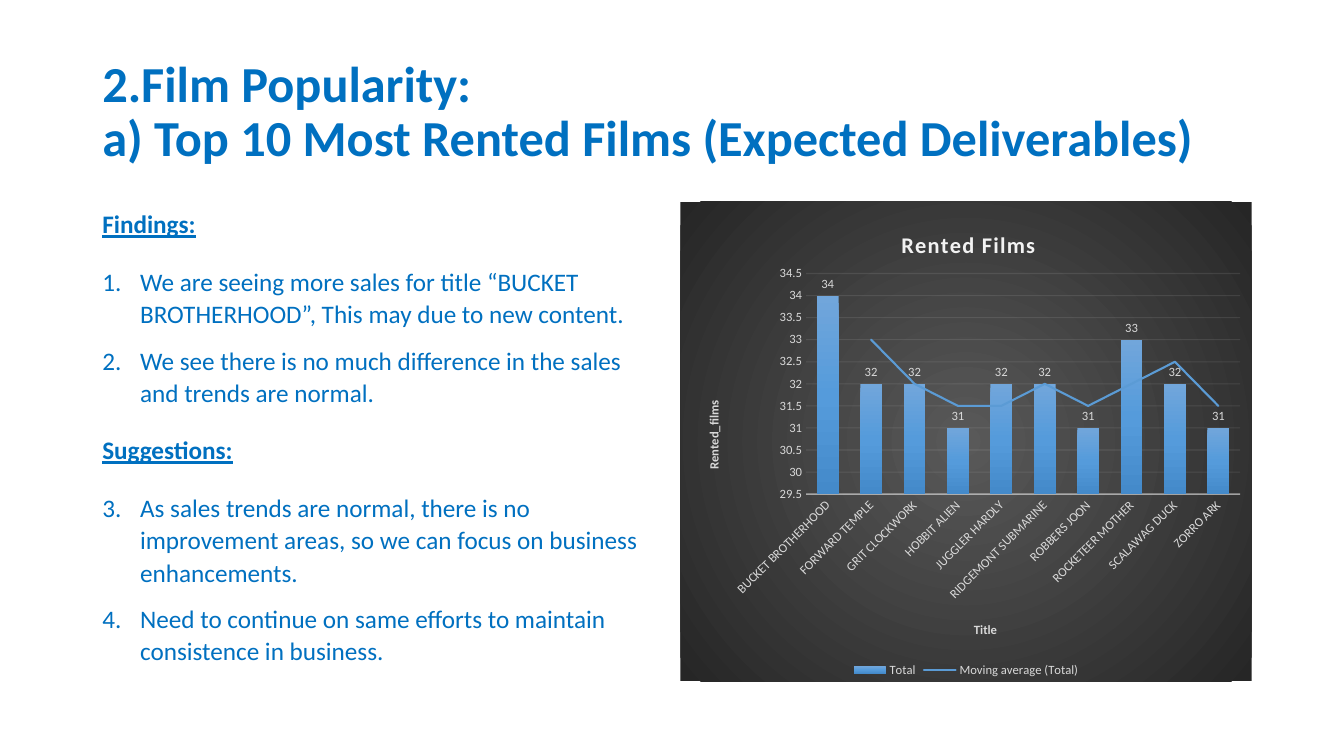
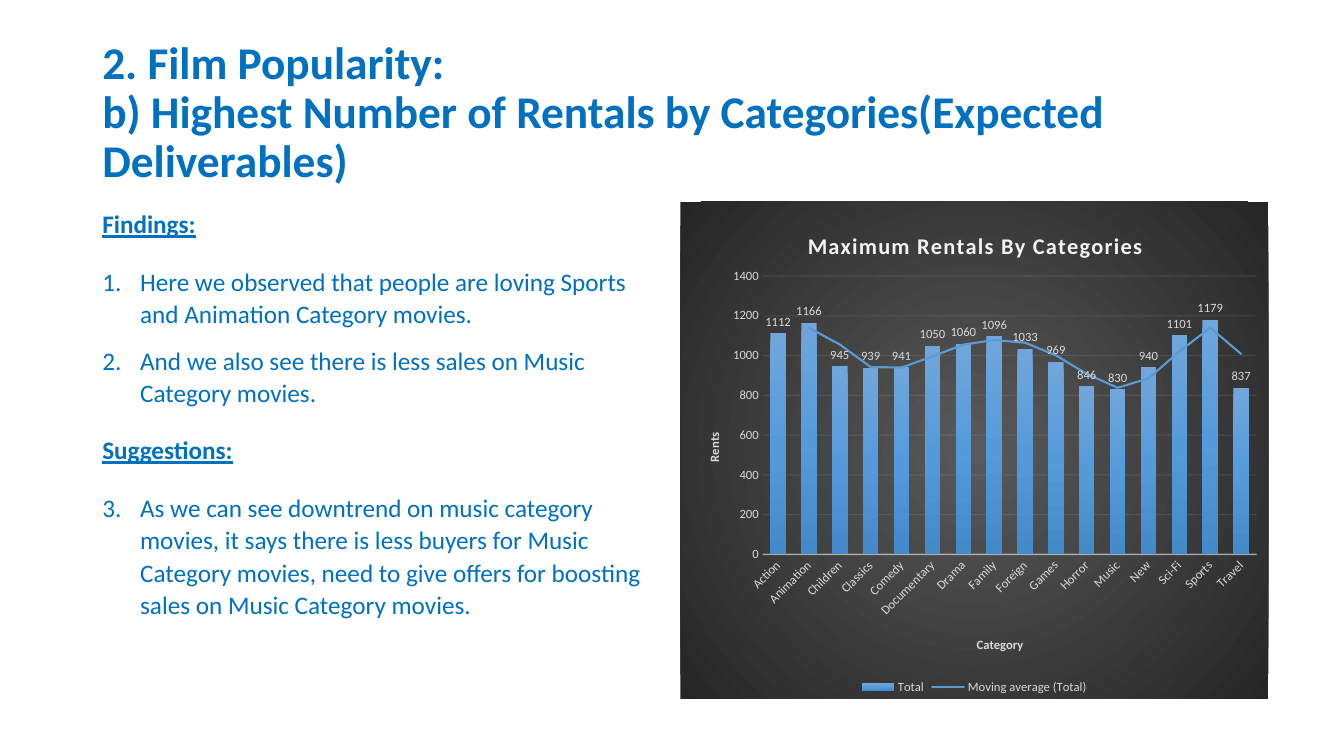
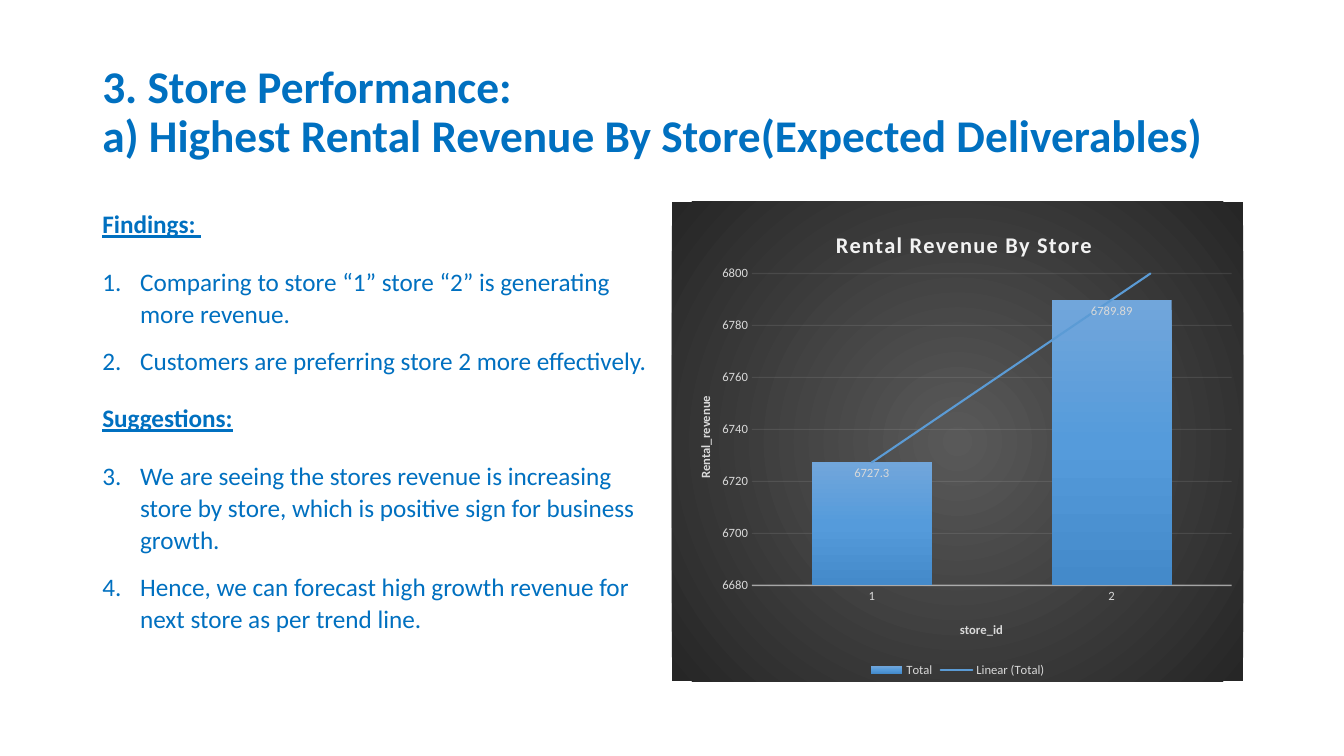
from lxml import etree
from pptx import Presentation
from pptx.chart.data import CategoryChartData
from pptx.dml.color import RGBColor
from pptx.enum.chart import XL_CHART_TYPE, XL_LABEL_POSITION, XL_LEGEND_POSITION, XL_TICK_MARK
from pptx.enum.text import MSO_ANCHOR
from pptx.oxml import parse_xml
from pptx.oxml.ns import nsdecls, qn
from pptx.util import Pt

COLUMNS = XL_CHART_TYPE.COLUMN_CLUSTERED
OUTSIDE, INSIDE = XL_LABEL_POSITION.OUTSIDE_END, XL_LABEL_POSITION.INSIDE_END
BOTTOM = XL_LEGEND_POSITION.BOTTOM
NO_TICK = XL_TICK_MARK.NONE
MIDDLE = MSO_ANCHOR.MIDDLE

FONT = "Calibri"
BLUE, TREND = "0070C0", "5B9BD5"
PALE, WHITE = "D9D9D9", "F2F2F2"
BAR_STOPS = [(0, "71A6DB"), (50, "559BDB"), (100, "448ACA")]
PANEL_STOPS = [(0, "595959"), (100, "262626")]
LINEAR = '<a:lin ang="5400000" scaled="0"/>'
RADIAL = '<a:path path="circle"><a:fillToRect l="50000" t="50000" r="50000" b="50000"/></a:path>'

TITLE_BOX = (66, 28.8, 828, 104.4)
BODY_BOX = (66, 144, 408, 342.7)
INDENT = 27

# "plot" is left, top, width, height and each "spot" is left, top, as shares of the chart
SLIDES = [
    {
        "title": "2.Film Popularity:\na) Top 10 Most Rented Films (Expected Deliverables)",
        "size": 36,
        "sections": [
            ("Findings:", [
                "We are seeing more sales for title “BUCKET BROTHERHOOD”, This may due to new content.",
                "We see there is no much difference in the sales and trends are normal."]),
            ("Suggestions:", [
                "As sales trends are normal, there is no improvement areas, so we can focus on "
                "business enhancements.",
                "Need to continue on same efforts to maintain consistence in business."]),
        ],
        "chart": {
            "box": (486, 144, 408, 342.7), "plot": (0.22, 0.15, 0.76, 0.46),
            "title": "Rented Films", "title_spot": (0.38, 0.05),
            "x": "Title", "x_spot": (0.51, 0.87), "y": "Rented_films", "y_spot": (0.04, 0.41),
            "scale": (29.5, 34.5, 0.5), "tilt": -45, "trend": "movingAvg", "labels": OUTSIDE,
            "data": {"BUCKET BROTHERHOOD": 34, "FORWARD TEMPLE": 32, "GRIT CLOCKWORK": 32,
                     "HOBBIT ALIEN": 31, "JUGGLER HARDLY": 32, "RIDGEMONT SUBMARINE": 32,
                     "ROBBERS JOON": 31, "ROCKETEER MOTHER": 33, "SCALAWAG DUCK": 32,
                     "ZORRO ARK": 31},
        },
    },
    {
        "title": "2. Film Popularity:\nb) Highest Number of Rentals by Categories(Expected Deliverables)",
        "size": 32.4,
        "sections": [
            ("Findings:", [
                "Here we observed that people are loving Sports and Animation Category movies.",
                "And we also see there is less sales on Music Category movies."]),
            ("Suggestions:", [
                "As we can see downtrend on music category movies, it says there is less buyers for "
                "Music Category movies, need to give offers for boosting sales on Music Category movies."]),
        ],
        "chart": {
            "box": (486, 144, 420, 355), "plot": (0.14, 0.15, 0.84, 0.56),
            "title": "Maximum Rentals By Categories", "title_spot": (0.21, 0.05),
            "x": "Category", "x_spot": (0.5, 0.87), "y": "Rents", "y_spot": (0.04, 0.46),
            "scale": (0, 1400, 200), "tilt": -45, "trend": "movingAvg", "labels": OUTSIDE,
            "data": {"Action": 1112, "Animation": 1166, "Children": 945, "Classics": 939,
                     "Comedy": 941, "Documentary": 1050, "Drama": 1060, "Family": 1096,
                     "Foreign": 1033, "Games": 969, "Horror": 846, "Music": 830, "New": 940,
                     "Sci-Fi": 1101, "Sports": 1179, "Travel": 837},
        },
    },
    {
        "title": "3. Store Performance:\na) Highest Rental Revenue By Store(Expected Deliverables)",
        "size": 32.4,
        "sections": [
            ("Findings: ", [
                "Comparing to store “1” store “2” is generating more revenue.",
                "Customers are preferring store 2 more effectively."]),
            ("Suggestions:", [
                "We are seeing the stores revenue is increasing store by store, which is positive "
                "sign for business growth.",
                "Hence, we can forecast high growth revenue for next store as per trend line."]),
        ],
        "chart": {
            "box": (480, 144, 408, 342.7), "plot": (0.14, 0.15, 0.84, 0.65),
            "title": "Rental Revenue By Store", "title_spot": (0.28, 0.05),
            "x": "store_id", "x_spot": (0.5, 0.87), "y": "Rental_revenue", "y_spot": (0.04, 0.4),
            "scale": (6680, 6800, 20), "tilt": 0, "trend": "linear", "labels": INSIDE,
            "data": {"1": 6727.3, "2": 6789.89},
        },
    },
]


def rgb(color):
    return RGBColor.from_string(color)


def set_font(font, size, color, bold=False, underline=False):
    font.name, font.size, font.bold, font.underline = FONT, Pt(size), bold, underline
    font.color.rgb = rgb(color)


def write(p, text, spacing=None, before=0, after=0, tracking=0, **font):
    """Fill a paragraph; a newline in the text becomes a line break."""
    p.text = text
    if spacing:
        p.line_spacing, p.space_before, p.space_after = spacing, Pt(before), Pt(after)
    for r in p.runs:
        set_font(r.font, **font)
        if tracking:
            r._r.get_or_add_rPr().set("spc", str(tracking))


def number(p, start):
    pPr = p._p.get_or_add_pPr()
    pPr.set("marL", str(Pt(INDENT)))
    pPr.set("indent", str(-Pt(INDENT)))
    etree.SubElement(pPr, qn("a:buFont")).set("typeface", "+mj-lt")
    bullet = etree.SubElement(pPr, qn("a:buAutoNum"))
    bullet.set("type", "arabicPeriod")
    bullet.set("startAt", str(start))


def add_box(s, box):
    tf = s.shapes.add_textbox(*map(Pt, box)).text_frame
    tf.word_wrap = True
    return tf


def add_body(s, sections):
    tf = add_box(s, BODY_BOX)
    style = dict(spacing=1.07, before=10, size=18, color=BLUE)
    p, start = tf.paragraphs[0], 1
    for heading, items in sections:
        write(p or tf.add_paragraph(), heading, after=8, bold=True, underline=True, **style)
        p = None
        for item in items:
            line = tf.add_paragraph()
            write(line, item, after=8 if item == items[-1] else 0, **style)
            number(line, start)
        start += len(items)


def gradient(stops, direction):
    """Shape properties with a gradient fill and no outline."""
    gs = "".join(f'<a:gs pos="{pos * 1000}"><a:srgbClr val="{c}"/></a:gs>' for pos, c in stops)
    return parse_xml(f'<c:spPr {nsdecls("c", "a")}><a:gradFill rotWithShape="1"><a:gsLst>{gs}</a:gsLst>'
                     f'{direction}</a:gradFill><a:ln><a:noFill/></a:ln></c:spPr>')


def trendline(kind):
    detail = '<c:period val="2"/>' if kind == "movingAvg" else '<c:forward val="0.5"/>'
    return parse_xml(f'<c:trendline {nsdecls("c", "a")}><c:spPr><a:ln w="{Pt(1.5)}" cap="rnd"><a:solidFill>'
                     f'<a:srgbClr val="{TREND}"/></a:solidFill></a:ln></c:spPr>'
                     f'<c:trendlineType val="{kind}"/>{detail}'
                     '<c:dispRSqr val="0"/><c:dispEq val="0"/></c:trendline>')


def place(element, index, spot, target=""):
    """Give a chart part a fixed position, in shares of the chart."""
    old = element.find(qn("c:layout"))
    if old is not None:
        element.remove(old)
    names = ("x", "y", "w", "h")[:len(spot)]
    parts = "".join(f'<c:{n}Mode val="edge"/>' for n in names[:2])
    parts += "".join(f'<c:{n} val="{v}"/>' for n, v in zip(names, spot))
    element.insert(index, parse_xml(f'<c:layout {nsdecls("c")}><c:manualLayout>{target}{parts}'
                                    '</c:manualLayout></c:layout>'))


def style_line(line, width, opacity):
    line.width = Pt(width)
    line.color.rgb = rgb(WHITE)
    for color in line._get_or_add_ln().iter(qn("a:srgbClr")):
        etree.SubElement(color, qn("a:alpha")).set("val", str(opacity * 1000))


def add_title(title, text, spot, size=9, color=PALE, rotation=0, tracking=0):
    tf = title.text_frame
    write(tf.paragraphs[0], text, size=size, color=color, bold=True, tracking=tracking)
    tf._txBody.bodyPr.set("rot", str(rotation * 60000))
    place(title._element, 1, spot)


def add_column_chart(s, spec_):
    data = CategoryChartData()
    data.categories = list(spec_["data"])
    data.add_series("Total", list(spec_["data"].values()))
    chart = s.shapes.add_chart(COLUMNS, *map(Pt, spec_["box"]), data).chart
    set_font(chart.font, 10, "000000")
    root = chart._chartSpace
    root.find(qn("c:chart")).addnext(gradient(PANEL_STOPS, RADIAL))

    chart.has_title = True
    add_title(chart.chart_title, spec_["title"], spec_["title_spot"], size=16, color=WHITE, tracking=100)
    chart.has_legend = True
    chart.legend.position = BOTTOM
    chart.legend.include_in_layout = False
    set_font(chart.legend.font, 9, PALE)

    x, y = chart.category_axis, chart.value_axis
    for axis, key, rotation in ((x, "x", 0), (y, "y", -90)):
        axis.major_tick_mark = axis.minor_tick_mark = NO_TICK
        set_font(axis.tick_labels.font, 9, PALE)
        add_title(axis.axis_title, spec_[key], spec_[key + "_spot"], rotation=rotation)
    x._element.find(qn("c:txPr")).find(qn("a:bodyPr")).set("rot", str(spec_["tilt"] * 60000))
    style_line(x.format.line, 1, 54)
    y.format.line.fill.background()
    y.minimum_scale, y.maximum_scale, y.major_unit = spec_["scale"]
    style_line(y.major_gridlines.format.line, 0.75, 10)

    plot = chart.plots[0]
    plot.gap_width, plot.overlap, plot.vary_by_categories = 100, -24, False
    series = plot.series[0]
    labels = series.data_labels
    labels.show_value = True
    labels.position = spec_["labels"]
    set_font(labels.font, 9, PALE)
    ser = series._element
    ser.find(qn("c:tx")).addnext(gradient(BAR_STOPS, LINEAR))
    ser.find(qn("c:cat")).addprevious(trendline(spec_["trend"]))
    place(next(root.iter(qn("c:plotArea"))), 0, spec_["plot"], '<c:layoutTarget val="inner"/>')


def main():
    prs = Presentation()
    prs.slide_width, prs.slide_height = Pt(960), Pt(540)
    for content in SLIDES:
        s = prs.slides.add_slide(prs.slide_layouts[6])
        tf = add_box(s, TITLE_BOX)
        tf.vertical_anchor = MIDDLE
        write(tf.paragraphs[0], content["title"], spacing=0.9, size=content["size"], color=BLUE, bold=True)
        add_body(s, content["sections"])
        add_column_chart(s, content["chart"])
    prs.save("out.pptx")


if __name__ == "__main__":
    main()
